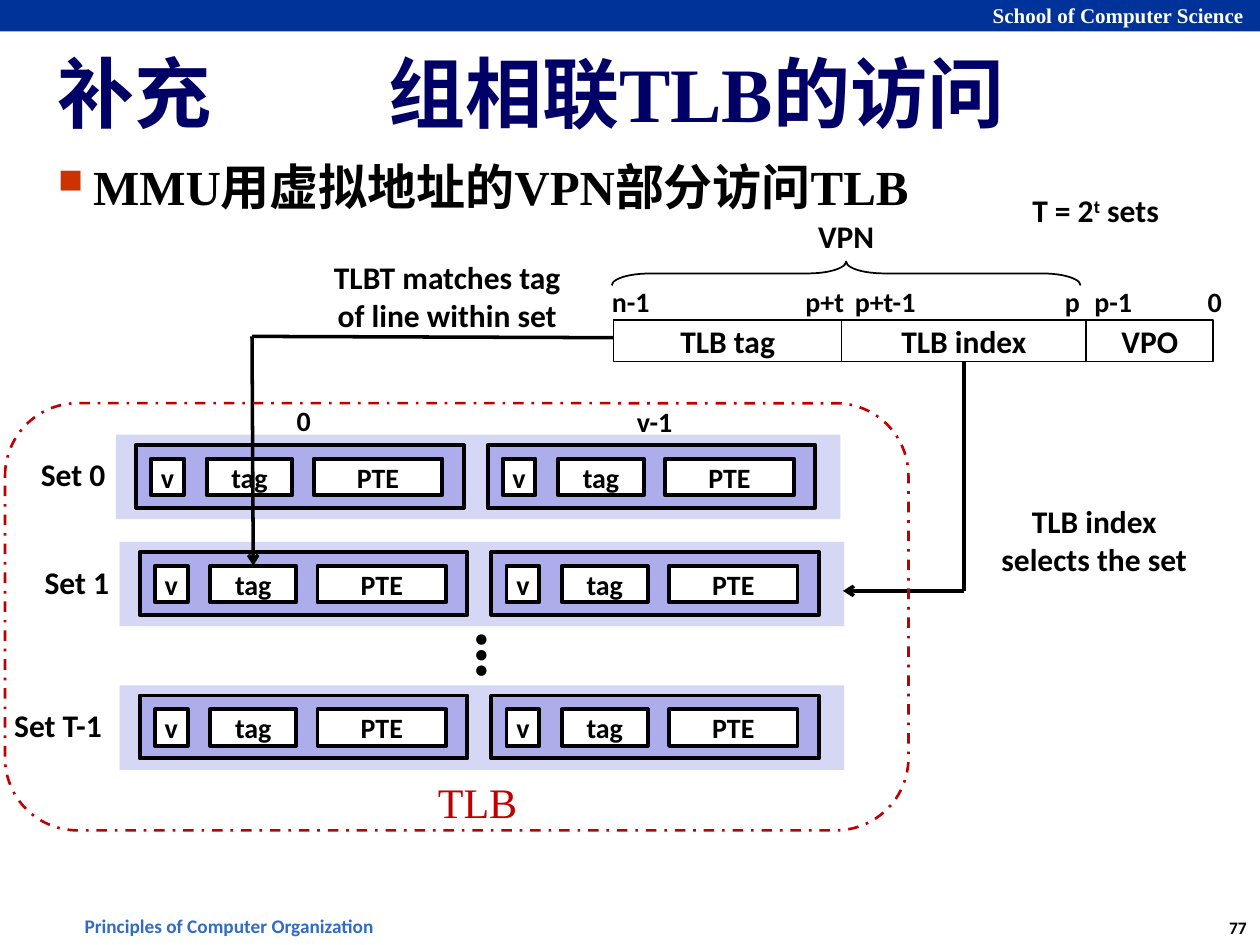
"""Build the slide on accessing a set-associative TLB."""
from lxml.etree import SubElement
from pptx import Presentation
from pptx.dml.color import RGBColor as RGB
from pptx.enum.dml import MSO_LINE as DASH
from pptx.enum.shapes import MSO_CONNECTOR as CONN, MSO_SHAPE as SHAPE
from pptx.enum.text import MSO_ANCHOR as ANCHOR, MSO_AUTO_SIZE as FIT, PP_ALIGN as ALIGN
from pptx.oxml.ns import qn
from pptx.util import Pt

PX = 9144
HUES = {
    "black": "000000", "white": "FFFFFF", "navy": "000066", "bar": "003399",
    "foot": "326AC6", "bullet": "CC3300", "strip": "D6D6F5", "card": "ADADEB",
    "red": "C00000",
}
SANS, SERIF = "Calibri", "Times New Roman"

deck = Presentation()
deck.slide_width, deck.slide_height = 1000 * PX, 750 * PX
slide = deck.slides.add_slide(deck.slide_layouts[5])
shapes = slide.shapes


def write(item, runs, size, hue="black", face=SANS, bold=True,
          align=ALIGN.CENTER, wrap=False, anchor=ANCHOR.MIDDLE):
    frame = item.text_frame
    frame.word_wrap = wrap
    frame.vertical_anchor = anchor
    para = frame.paragraphs[0]
    para.alignment = align
    for words in runs:
        run = para.add_run()
        run.text = words
        font = run.font
        font.name, font.size, font.bold = face, Pt(size), bold
        font.color.rgb = RGB.from_string(HUES[hue])
    return para


def draw(kind, box, fill=None, line=None, width=1):
    item = shapes.add_shape(kind, *[n * PX for n in box])
    item.shadow.inherit = False
    if fill:
        item.fill.solid()
        item.fill.fore_color.rgb = RGB.from_string(HUES[fill])
    else:
        item.fill.background()
    if line:
        item.line.color.rgb = RGB.from_string(HUES[line])
        item.line.width = Pt(width)
    else:
        item.line.fill.background()
    return item


draw(SHAPE.RECTANGLE, (0, 0, 1000, 25), "bar")

title = shapes.title
title.left, title.top, title.width, title.height = [n * PX for n in (42, 28, 917, 89)]
body = shapes.add_textbox(*[n * PX for n in (42, 120, 917, 572)])
for item in (title, body):
    frame = item.text_frame
    frame.margin_left = frame.margin_right = 4 * PX
    frame.margin_top = frame.margin_bottom = 4 * PX

props = title.text_frame.paragraphs[0]._p.get_or_add_pPr()
tabs = SubElement(props, qn("a:tabLst"))
SubElement(tabs, qn("a:tab"), pos=str(262 * PX), algn="l")
write(title, ["补充", "\t", "组相联", "TLB", "的访问"], 44, "navy", SERIF,
      align=ALIGN.LEFT, wrap=True)

props = body.text_frame.paragraphs[0]._p.get_or_add_pPr()
props.set("marL", str(28 * PX))
props.set("indent", str(-28 * PX))
tint = SubElement(props, qn("a:buClr"))
SubElement(tint, qn("a:srgbClr"), val=HUES["bullet"])
SubElement(props, qn("a:buSzPct"), val="70000")
SubElement(props, qn("a:buChar"), char="■")
write(body, ["MMU", "用虚拟地址的", "VPN", "部分访问", "TLB"], 28, face=SERIF,
      align=ALIGN.LEFT, wrap=True, anchor=ANCHOR.TOP)

fields = {}
for name, left, wide, fill in (
    ("TLB tag", 487, 181, "white"), ("TLB index", 668, 194, None), ("VPO", 862, 101, None),
):
    fields[name] = draw(SHAPE.RECTANGLE, (left, 254, wide, 33), fill, "black")
    write(fields[name], [name], 18)

brace = draw(SHAPE.LEFT_BRACE, (662, 31, 19, 372), None, "black")
brace.rotation = 90
brace.adjustments[0], brace.adjustments[1] = 1.6, 0.5

tags = []
for left, top in ((108, 345), (111, 430), (111, 544)):
    strip = draw(SHAPE.RECTANGLE, (left - 16, top, 575, 67), "strip")
    for start in (left, left + 279):
        draw(SHAPE.RECTANGLE, (start, top + 8, 260, 50), "card", "black", 2.25)
        for name, shift, wide in (("v", 12, 26), ("tag", 56, 68), ("PTE", 141, 102)):
            cell = draw(SHAPE.RECTANGLE, (start + shift, top + 19, wide, 29),
                        "white", "black", 2.25)
            write(cell, [name], 16)
            if name == "tag":
                tags.append(cell)

wires = []
for x1, y1, x2, y2, arrow in (
    (765, 287, 765, 469, False), (765, 469, 669, 469, True),
    (487, 268, 200, 267, False), (200, 267, 201, 449, True),
):
    wire = shapes.add_connector(CONN.STRAIGHT, x1 * PX, y1 * PX, x2 * PX, y2 * PX)
    wire.line.color.rgb = RGB.from_string(HUES["black"])
    wire.line.width = Pt(2)
    if arrow:
        SubElement(wire.line._get_or_add_ln(), qn("a:tailEnd"), type="arrow")
    SubElement(wire._element.spPr, qn("a:effectLst"))
    wires.append(wire)
wires[0].begin_connect(fields["TLB index"], 2)
wires[3].end_connect(tags[2], 0)

frame = draw(SHAPE.ROUNDED_RECTANGLE, (4, 320, 717, 339), None, "red", 1.5)
frame.adjustments[0] = 0.17
frame.line.dash_style = DASH.DASH_DOT

for words, size, box, look in (
    ("77", 10, (964, 723, 37, 27), {}),
    ("School of Computer Science", 12, (778, -3, 221, 30),
     {"hue": "white", "face": SERIF, "align": ALIGN.LEFT}),
    ("Principles of Computer Organization", 11, (55, 720, 254, 29), {"hue": "foot"}),
    ("n-1", 16, (475, 221, 51, 37), {}),
    ("p+t", 16, (629, 221, 51, 37), {}),
    ("p+t-1", 16, (668, 221, 69, 37), {}),
    ("p", 16, (835, 221, 32, 37), {}),
    ("p-1", 16, (858, 221, 51, 37), {}),
    ("0", 16, (948, 221, 32, 37), {}),
    ("VPN", 18, (639, 167, 65, 40), {}),
    ("Set 0", 18, (22, 356, 72, 40), {}),
    ("Set 1", 18, (25, 442, 72, 40), {}),
    ("Set T-1", 18, (0, 555, 92, 40), {}),
    ("0", 16, (225, 315, 32, 37), {}),
    ("v-1", 16, (495, 316, 49, 37), {}),
    ("TLB index selects the set", 18, (775, 393, 187, 71), {"wrap": True}),
    ("TLBT matches tag of line within set", 18, (242, 199, 226, 72), {"wrap": True}),
    ("TLB", 24, (337, 611, 84, 51), {"hue": "red", "face": SERIF, "bold": False}),
    ("…", 40, (334, 482, 60, 77), {"anchor": ANCHOR.TOP}),
):
    label = shapes.add_textbox(*[n * PX for n in box])
    write(label, [words], size, **look)
    label.text_frame.auto_size = FIT.SHAPE_TO_FIT_TEXT
    if words == "…":
        label.rotation = 270

count = shapes.add_textbox(*[n * PX for n in (807, 147, 125, 40)])
para = write(count, ["T = 2", "t", " sets"], 18, wrap=True)
para.runs[1]._r.get_or_add_rPr().set("baseline", "30000")

deck.save("out.pptx")
